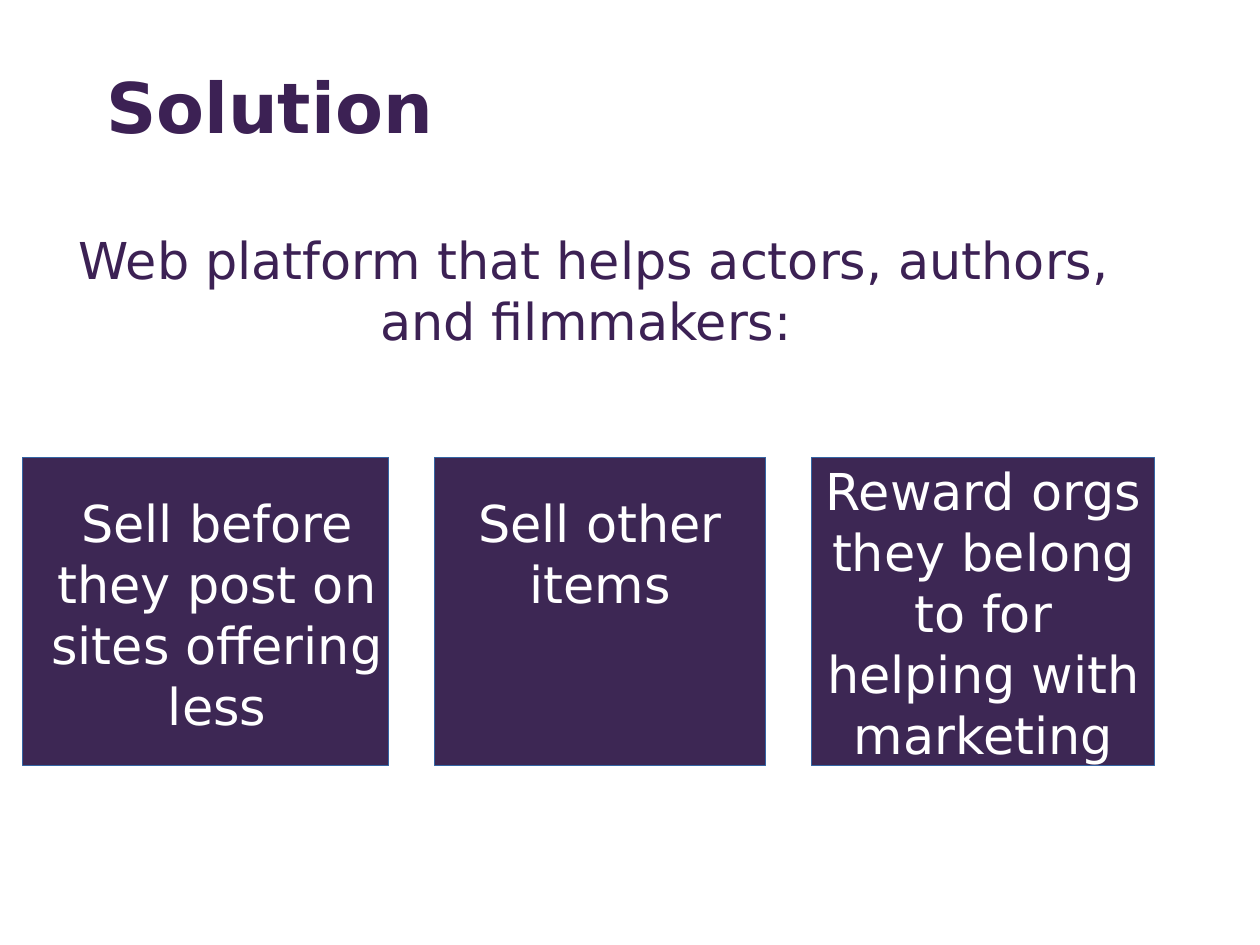
import pptx
import pptx.dml.color
import pptx.enum.shapes
import pptx.enum.text
import pptx.util

# Content
TITLE = "Solution"
INTRO = "Web platform that helps actors, authors, and filmmakers: "
# Card text, card width, left and right text margins, text top (points)
CARDS = [
    ("Sell before they post on sites offering less", 230.4, 14.4, 0, 309.6),
    ("Sell other items", 208.8, 7.92, 7.92, 309.6),
    ("Reward orgs they belong to for helping with marketing", 216, 5.04, 4.32, 289.44),
]

# Style and layout (points)
SLIDE_WIDTH, SLIDE_HEIGHT = 793.7, 595.28
FONT = "DejaVu Sans"
PURPLE, CARD_FILL, CARD_LINE, WHITE = "3C2154", "3D2754", "3465A4", "FFFFFF"
CARD_LEFT, CARD_TOP, CARD_HEIGHT, CARD_GAP = 14.4, 288, 194.4, 28.8
CARD_TEXT_HEIGHT = 143.28

Pt = pptx.util.Pt
ANCHOR = pptx.enum.text.MSO_ANCHOR


def color(hex_string):
    return pptx.dml.color.RGBColor.from_string(hex_string)


def add_text(slide, text, left, top, width, height, size=32, hex_color=PURPLE,
             bold=False, anchor=ANCHOR.TOP):
    box = slide.shapes.add_textbox(Pt(left), Pt(top), Pt(width), Pt(height))
    frame = box.text_frame
    frame.word_wrap = True
    frame.vertical_anchor = anchor
    frame.margin_left = frame.margin_right = frame.margin_top = frame.margin_bottom = 0
    paragraph = frame.paragraphs[0]
    paragraph.text = text
    paragraph.alignment = pptx.enum.text.PP_ALIGN.CENTER
    paragraph.font.name = FONT
    paragraph.font.size = Pt(size)
    paragraph.font.bold = bold
    paragraph.font.color.rgb = color(hex_color)


def add_card(slide, left, width):
    card = slide.shapes.add_shape(pptx.enum.shapes.MSO_SHAPE.RECTANGLE,
                                  Pt(left), Pt(CARD_TOP), Pt(width), Pt(CARD_HEIGHT))
    card.shadow.inherit = False
    card.fill.solid()
    card.fill.fore_color.rgb = color(CARD_FILL)
    card.line.color.rgb = color(CARD_LINE)
    card.line.width = Pt(0.75)


def main():
    presentation = pptx.Presentation()
    presentation.slide_width = Pt(SLIDE_WIDTH)
    presentation.slide_height = Pt(SLIDE_HEIGHT)
    slide = presentation.slides.add_slide(presentation.slide_layouts[6])

    # Heading and introduction
    add_text(slide, TITLE, 37.44, 16.56, 264.96, 99.36, size=44, bold=True,
             anchor=ANCHOR.MIDDLE)
    add_text(slide, INTRO, 28.8, 144, 691.2, 122.4)

    # Row of cards, equally spaced
    left = CARD_LEFT
    for text, width, margin_left, margin_right, text_top in CARDS:
        add_card(slide, left, width)
        add_text(slide, text, left + margin_left, text_top,
                 width - margin_left - margin_right, CARD_TEXT_HEIGHT, hex_color=WHITE)
        left += width + CARD_GAP

    presentation.save("out.pptx")


if __name__ == "__main__":
    main()
